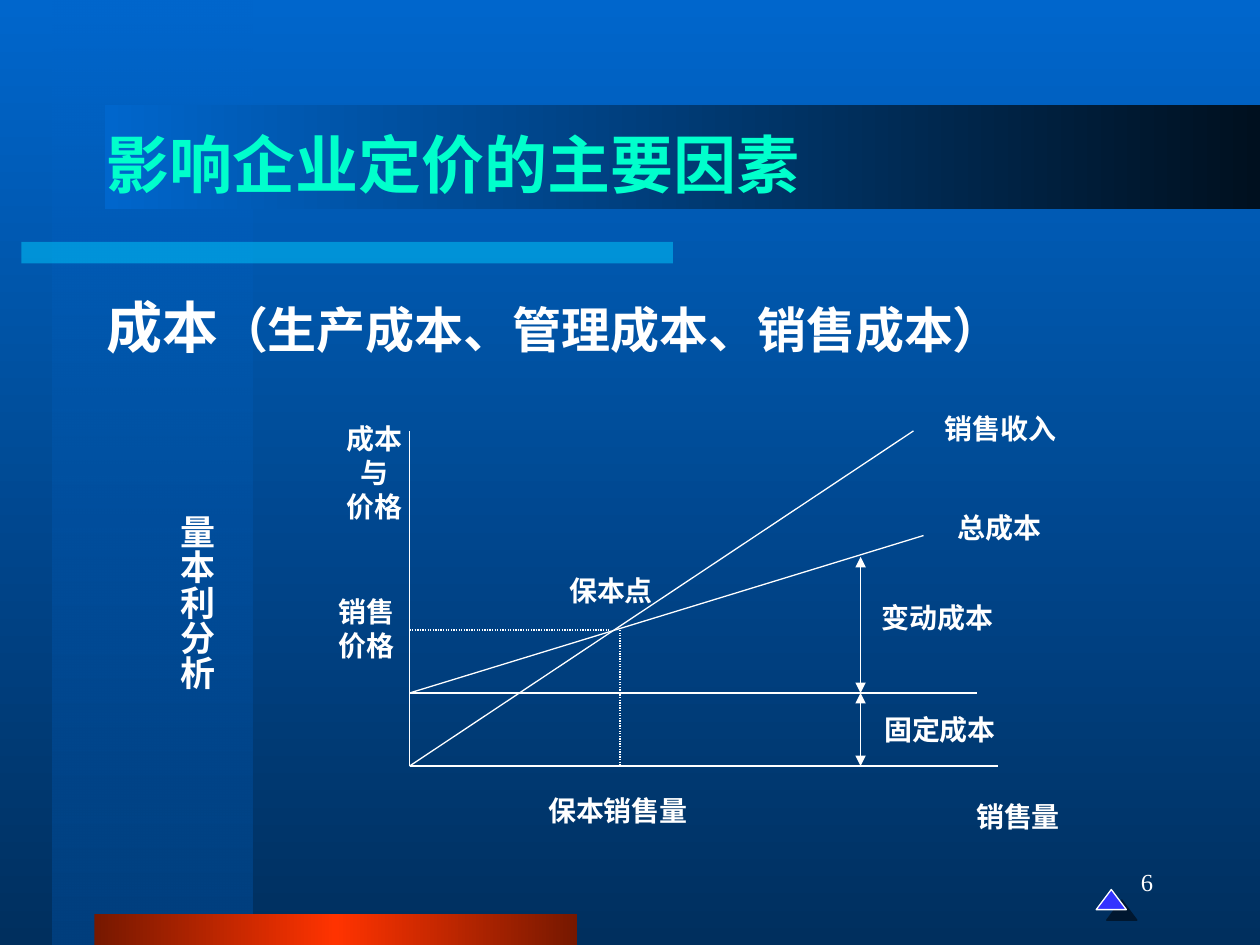
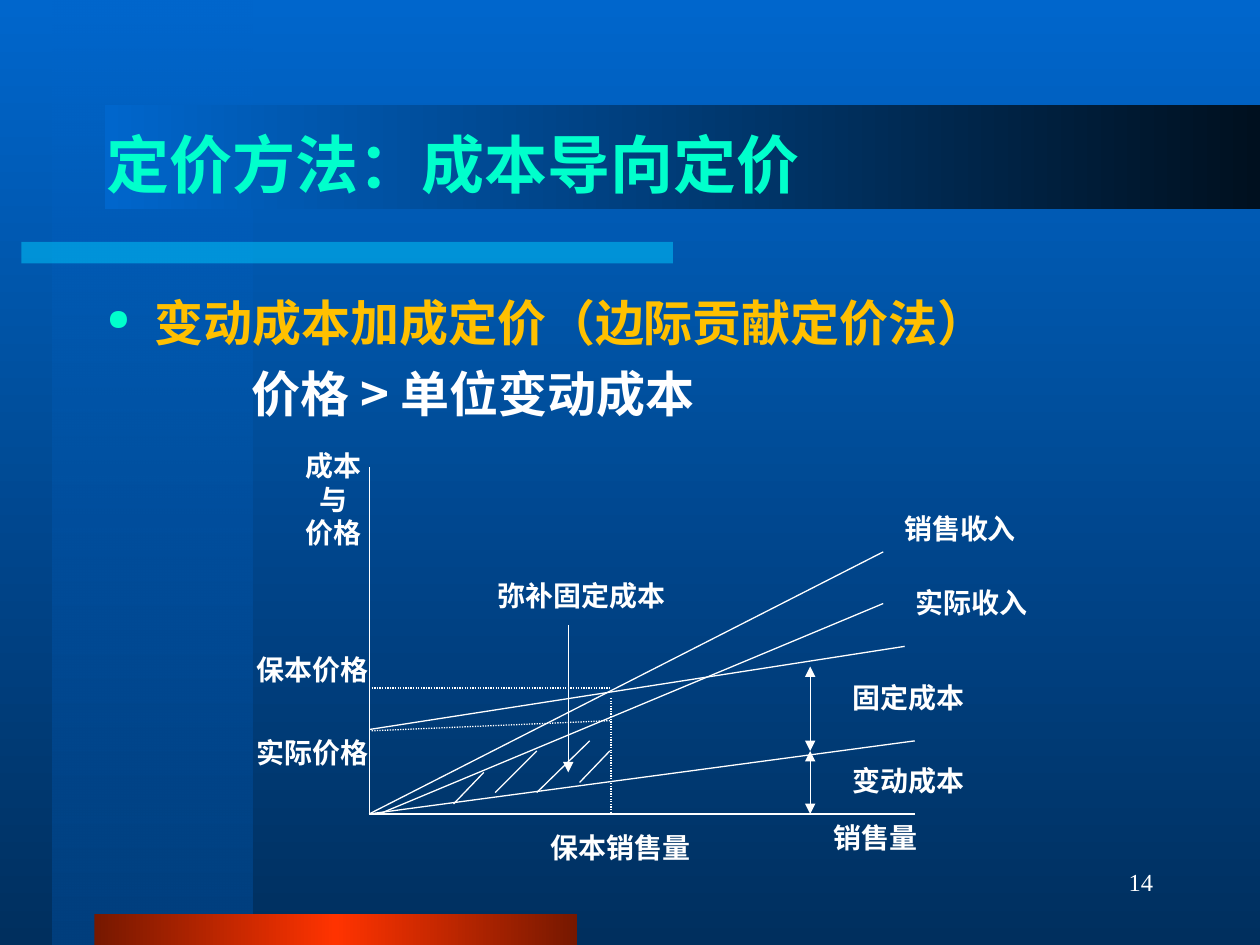
import pptx
import pptx.dml.color
import pptx.enum.dml
import pptx.enum.shapes
import pptx.enum.text
import pptx.oxml
import pptx.oxml.ns
import pptx.util
from dataclasses import dataclass
from lxml import etree

Inches, Pt = pptx.util.Inches, pptx.util.Pt
RGB = pptx.dml.color.RGBColor.from_string
SHAPE = pptx.enum.shapes.MSO_SHAPE
ALIGN = pptx.enum.text.PP_ALIGN
ANCHOR = pptx.enum.text.MSO_ANCHOR
AUTO_SIZE = pptx.enum.text.MSO_AUTO_SIZE
qn = pptx.oxml.ns.qn


@dataclass(frozen=True)
class Theme:
    white: str = "FFFFFF"
    mint: str = "00FFCC"
    gold: str = "FFC000"
    cyan: str = "00CCFF"
    violet: str = "3333FF"
    background: tuple = ((0, "0066CC"), (100, "002F5E"))
    side_band: tuple = ((0, "0066CC", 50), (100, "003F7E"))
    title_band: tuple = ((0, "0066CC"), (100, "00101F"))
    foot_band: tuple = ((0, "761800"), (50, "FF3300"), (100, "761800"))
    latin: str = "Times New Roman"
    asian: str = "Noto Sans CJK SC"
    title: int = 36
    lead: int = 32
    body: int = 28
    side: int = 20
    label: int = 16
    number: int = 14
    rule: float = 0.75
    leading: float = 1.2
    bullet_percent: int = 60


THEME = Theme()

# Bands as (left, top, width, height)
SIDE_BAND = (0.42, 0, 1.58, 7.5)
ACCENT_BAR = (0.17, 1.92, 5.17, 0.17)
FOOT_BAND = (0.75, 7.25, 3.83, 0.25)
TITLE_BAND = (0.83, 0.83, 9.17, 0.83)

# Lines are (x1, y1, x2, y2); labels are (left, top, width, text)
SLIDES = [
    dict(
        number="6",
        title="影响企业定价的主要因素",
        body=[dict(runs=[("成本", THEME.lead), ("（生产成本、管理成本、销售成本）", THEME.body)],
                   left=0.38, hang=0.38)],
        solid=[
            (3.25, 3.42, 3.25, 6.08), (3.25, 6.08, 7.92, 6.08),  # axes
            (3.25, 5.5, 7.75, 5.5),      # fixed cost
            (3.25, 6.08, 7.25, 3.42),    # revenue
            (3.25, 5.5, 7.33, 4.25),     # total cost
        ],
        dotted=[(4.92, 5, 4.92, 6.08), (3.25, 5, 4.83, 5)],
        spans=[(6.83, 5.5, 6.83, 6.08), (6.83, 4.42, 6.83, 5.5)],
        pointers=[],
        labels=[
            (2.65, 3.3, 0.64, "成本\n与\n价格"),
            (2.59, 4.67, 0.64, "销售\n价格"),
            (7.65, 6.3, 0.86, "销售量"),
            (4.25, 6.25, 1.31, "保本销售量"),
            (7.4, 3.22, 1.08, "销售收入"),
            (6.92, 5.61, 1.08, "固定成本"),
            (6.9, 4.72, 1.08, "变动成本"),
            (7.5, 4, 0.86, "总成本"),
            (4.42, 4.5, 0.86, "保本点"),
        ],
        side_label=((1.25, 3.99, 0.53, 1.49), "量本利分析"),
        triangle=(8.7, 7.06, 0.24, 0.16),
    ),
    dict(
        number="14",
        title="定价方法：成本导向定价",
        body=[
            dict(runs=[("变动成本加成定价（边际贡献定价法）", THEME.body)], left=0.38,
                 hang=0.38, color=THEME.gold, bullet="●", latin=THEME.asian),
            dict(runs=[("价格 > 单位变动成本", THEME.body)], left=1.15, before=7,
                 latin=THEME.asian),
        ],
        solid=[
            (2.93, 3.71, 2.93, 6.46), (2.93, 6.46, 7.26, 6.46),  # axes
            (2.93, 6.46, 7.26, 5.88),    # variable cost
            (2.93, 5.79, 7.18, 5.13),    # total cost
            (2.93, 6.46, 7.01, 4.38),    # revenue
            (3.01, 6.46, 7.01, 4.79),    # actual revenue
            (3.84, 6.13, 3.6, 6.38), (4.26, 5.96, 3.93, 6.29),   # hatching
            (4.68, 5.88, 4.26, 6.29), (4.84, 5.96, 4.6, 6.21),
        ],
        dotted=[(4.85, 5.54, 4.85, 6.46), (2.93, 5.46, 4.84, 5.46),
                (2.95, 5.8, 4.84, 5.72)],
        spans=[(6.43, 5.29, 6.43, 5.96), (6.43, 5.96, 6.43, 6.46)],
        pointers=[(4.51, 4.96, 4.51, 6.13)],
        labels=[
            (2.33, 3.51, 0.64, "成本\n与\n价格"),
            (7.08, 4.01, 1.08, "销售收入"),
            (7.17, 4.6, 1.08, "实际收入"),
            (6.67, 5.35, 1.08, "固定成本"),
            (6.67, 6.01, 1.08, "变动成本"),
            (1.94, 5.13, 1.08, "保本价格"),
            (1.94, 5.79, 1.08, "实际价格"),
            (4.27, 6.54, 1.31, "保本销售量"),
            (6.52, 6.46, 0.86, "销售量"),
            (3.85, 4.54, 1.53, "弥补固定成本"),
        ],
    ),
]


def add_xml(parent, tag, **attributes):
    return etree.SubElement(parent, qn(tag), {k: str(v) for k, v in attributes.items()})


def add_color(parent, color, alpha=100):
    node = add_xml(parent, "a:srgbClr", val=color)
    if alpha < 100:
        add_xml(node, "a:alpha", val=alpha * 1000)


def paint_gradient(fill, owner, stops, downward=False):
    """Fill with (percent, colour[, alpha]) stops; owner is the element holding the fill."""
    fill.gradient()
    fill.gradient_angle = 270 if downward else 0
    stop_list = next(owner.iter(qn("a:gsLst")))
    for old_stop in list(stop_list):
        stop_list.remove(old_stop)
    for position, *color in stops:
        add_color(add_xml(stop_list, "a:gs", pos=position * 1000), *color)


def add_shape(slide, at, kind=SHAPE.RECTANGLE):
    shape = slide.shapes.add_shape(kind, *map(Inches, at))
    shape.shadow.inherit = False
    shape.line.fill.background()
    return shape


def add_band(slide, at, stops, downward=False):
    band = add_shape(slide, at)
    paint_gradient(band.fill, band._element, stops, downward)


def write_paragraph(paragraph, runs, color=THEME.white, bold=True, latin=THEME.latin,
                    align=ALIGN.LEFT, left=0, hang=0, before=0, bullet=None):
    """Write (text, size) runs into a paragraph."""
    properties = paragraph._p.get_or_add_pPr()
    properties.set("marL", str(Inches(left)))
    properties.set("indent", str(-Inches(hang)))
    if bullet:
        add_color(add_xml(properties, "a:buClr"), THEME.mint)
        add_xml(properties, "a:buSzPct", val=THEME.bullet_percent * 1000)
        add_xml(properties, "a:buChar", char=bullet)
    else:
        add_xml(properties, "a:buNone")
    paragraph.alignment = align
    paragraph.space_before = Pt(before)
    paragraph.line_spacing = Pt(THEME.leading * max(size for _, size in runs))
    for text, size in runs:
        run = paragraph.add_run()
        run.text = text
        run.font.size = Pt(size)
        run.font.bold = bold
        run.font.color.rgb = RGB(color)
        run.font.name = latin
        add_xml(run._r.get_or_add_rPr(), "a:ea", typeface=THEME.asian)


def add_text(slide, at, text, size=THEME.label, anchor=ANCHOR.TOP, wrap=False,
             vertical=False, **paragraph_format):
    """Add a text box; text is a string, or a list of paragraph dicts."""
    frame = slide.shapes.add_textbox(*map(Inches, at)).text_frame
    frame.word_wrap = wrap
    frame.vertical_anchor = anchor
    if not wrap:
        frame.auto_size = AUTO_SIZE.SHAPE_TO_FIT_TEXT
        frame.margin_left = frame.margin_right = Inches(0.05)
    if vertical:
        frame._txBody.bodyPr.set("vert", "eaVert")
    if isinstance(text, str):
        text = [dict(runs=[(line, size)]) for line in text.split("\n")]
    for index, line in enumerate(text):
        paragraph = frame.add_paragraph() if index else frame.paragraphs[0]
        write_paragraph(paragraph, **{**paragraph_format, **line})


def add_line(slide, ends, dotted=False, arrows=()):
    line = slide.shapes.add_connector(pptx.enum.shapes.MSO_CONNECTOR.STRAIGHT,
                                      *map(Inches, ends))
    line.line.color.rgb = RGB(THEME.white)
    line.line.width = Pt(THEME.rule)
    if dotted:
        line.line.dash_style = pptx.enum.dml.MSO_LINE.ROUND_DOT
    for end in arrows:
        add_xml(line.line._get_or_add_ln(), end, type="triangle")
    add_xml(line._element.spPr, "a:effectLst")


def add_triangle(slide, at):
    triangle = add_shape(slide, at, SHAPE.ISOSCELES_TRIANGLE)
    triangle.fill.solid()
    triangle.fill.fore_color.rgb = RGB(THEME.violet)
    triangle.line.color.rgb = RGB(THEME.white)
    triangle.line.width = Pt(THEME.rule)
    effects = triangle._element.spPr.find(qn("a:effectLst"))
    shadow = add_xml(effects, "a:outerShdw", dist=Pt(8.5), dir=45 * 60000)
    add_color(shadow, "000000", 50)


def add_frame(slide, title, number):
    """Draw the background, bands, title and page number."""
    paint_gradient(slide.background.fill, slide._element, THEME.background, downward=True)
    add_band(slide, SIDE_BAND, THEME.side_band, downward=True)
    bar = add_shape(slide, ACCENT_BAR)
    bar.fill.solid()
    bar.fill.fore_color.rgb = RGB(THEME.cyan)
    bar_color = next(bar._element.spPr.iter(qn("a:srgbClr")))
    add_xml(bar_color, "a:alpha", val=50000)
    add_band(slide, FOOT_BAND, THEME.foot_band)
    add_band(slide, TITLE_BAND, THEME.title_band)
    add_text(slide, (0.75, 0.67, 8.5, 1.25), title, size=THEME.title, color=THEME.mint,
             anchor=ANCHOR.MIDDLE, wrap=True)
    add_text(slide, (7.17, 6.83, 2.08, 0.5), number, size=THEME.number, bold=False,
             align=ALIGN.RIGHT, wrap=True)


def add_diagram(slide, content):
    for ends in content["solid"]:
        add_line(slide, ends)
    for ends in content["dotted"]:
        add_line(slide, ends, dotted=True)
    for ends in content["spans"]:
        add_line(slide, ends, arrows=("a:headEnd", "a:tailEnd"))
    for ends in content["pointers"]:
        add_line(slide, ends, arrows=("a:tailEnd",))
    for left, top, width, text in content["labels"]:
        height = 0.1 + 0.27 * len(text.split("\n"))
        add_text(slide, (left, top, width, height), text, align=ALIGN.CENTER)


def main():
    deck = pptx.Presentation()
    deck.slide_width, deck.slide_height = Inches(10), Inches(7.5)
    for content in SLIDES:
        slide = deck.slides.add_slide(deck.slide_layouts[6])
        add_frame(slide, content["title"], content["number"])
        add_text(slide, (0.75, 2.27, 8.5, 1.33), content["body"], wrap=True)
        add_diagram(slide, content)
        if "side_label" in content:
            at, text = content["side_label"]
            add_text(slide, at, text, size=THEME.side, vertical=True, align=ALIGN.CENTER)
        if "triangle" in content:
            add_triangle(slide, content["triangle"])
    deck.save("out.pptx")


if __name__ == "__main__":
    main()
